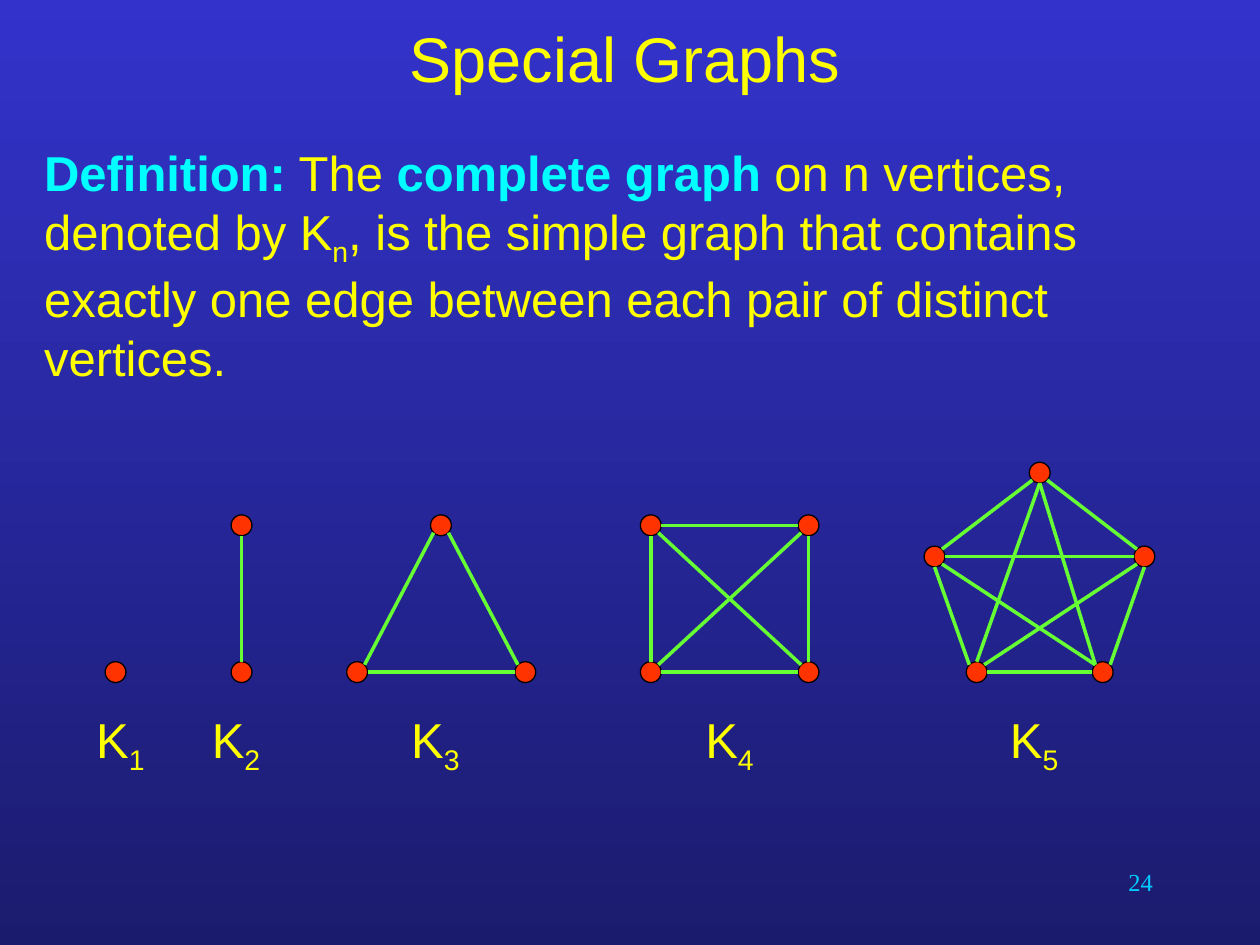
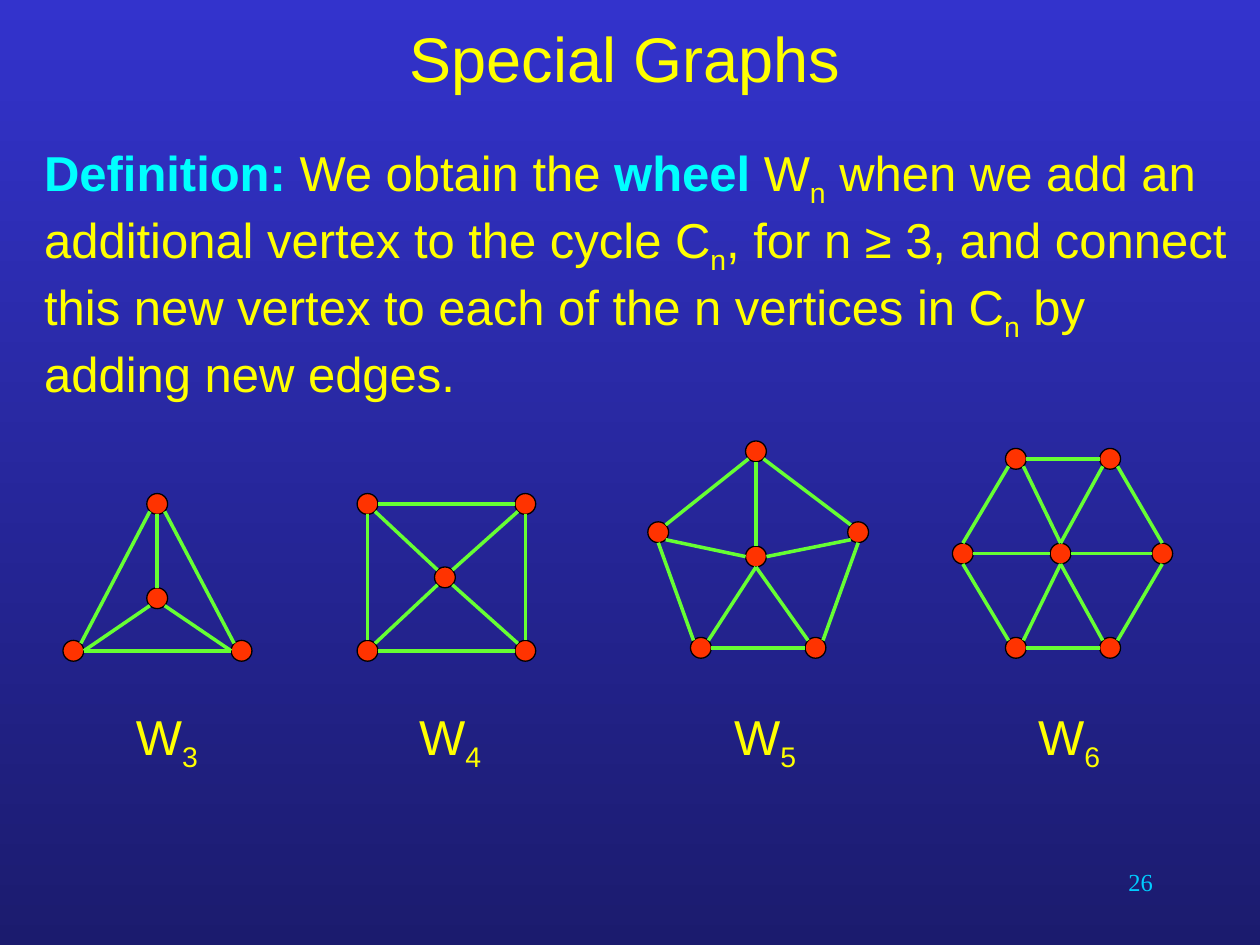
from lxml.etree import SubElement
from pptx import Presentation
from pptx.dml.color import RGBColor
from pptx.enum.shapes import MSO_CONNECTOR, MSO_SHAPE
from pptx.enum.text import MSO_ANCHOR as ANCHOR, PP_ALIGN as ALIGN
from pptx.oxml.ns import qn
from pptx.util import Cm, Pt

COLORS = {
    "top": "3333CC", "bottom": "1B1B6E", "text": "FFFF00", "key": "00FFFF",
    "number": "00CCFF", "vertex": "FF3300", "outline": "000000", "edge": "66FF33",
}
TITLE = "Special Graphs"
RADIUS = 0.21
DIAGONAL = 0.15  # offset of the slanted sites on a vertex circle
COMPASS = {
    "N": (0, -RADIUS), "S": (0, RADIUS), "W": (-RADIUS, 0), "E": (RADIUS, 0),
    "NW": (-DIAGONAL, -DIAGONAL), "NE": (DIAGONAL, -DIAGONAL),
    "SW": (-DIAGONAL, DIAGONAL), "SE": (DIAGONAL, DIAGONAL),
}

# Vertices are relative to the lower left one, in cm. An edge such as "0NE 2SW"
# runs from the north-east of vertex 0 to the south-west of vertex 2.
TRIANGLE = [(0, 0), (3.39, 0), (1.69, -2.96)]
SQUARE = [(0, 0), (3.18, 0), (0, -2.96), (3.18, -2.96)]
PENTAGON = [(0, 0), (2.54, 0), (-0.85, -2.33), (3.38, -2.33), (1.27, -4.02)]
WHEEL_PENTAGON = [(0, 0), (2.31, 0), (-0.86, -2.33), (3.17, -2.33), (1.11, -3.96)]
HEXAGON = [(0, 0), (1.9, 0), (-1.07, -1.9), (2.95, -1.9), (0, -3.81), (1.9, -3.81)]
TRIANGLE_RIM = ["0NE 2SW", "0E 1W", "1NW 2SE"]
SQUARE_RIM = ["0N 2S", "2E 3W", "3S 1N", "0E 1W"]
PENTAGON_RIM = ["2S 0NW", "0E 1W", "1NE 3S", "3NW 4SE", "2NE 4SW"]
HEXAGON_RIM = ["2S 0NW", "0E 1W", "1NE 3S", "3N 5SE", "2N 4SW", "4E 5W"]

# Each graph: index, label left, (x, y) of vertex 0, vertices, edges
COMPLETE = [
    ("1", 1.69, (2.33, 13.55), [(0, 0)], []),
    ("2", 4.02, (4.87, 13.55), [(0, 0), (0, -2.96)], ["0N 1S"]),
    ("3", 8.04, (7.2, 13.55), TRIANGLE, TRIANGLE_RIM),
    ("4", 13.97, (13.12, 13.55), SQUARE, SQUARE_RIM + ["0NE 3SW", "2SE 1NW"]),
    ("5", 20.11, (19.69, 13.55), PENTAGON,
     PENTAGON_RIM + ["4S 0N", "4S 1NW", "2E 3W", "2SE 1NW", "0NE 3SW"]),
]
WHEELS = [
    ("3", 2.49, (1.48, 13.12), TRIANGLE + [(1.69, -1.06)],
     TRIANGLE_RIM + ["0E 3SW", "1W 3SE", "3N 2S"]),
    ("4", 8.2, (7.41, 13.12), SQUARE + [(1.56, -1.48)],
     SQUARE_RIM + ["0NE 4SW", "4NW 2SE", "4NE 3SW", "4SE 1NW"]),
    ("5", 14.55, (14.13, 13.06), WHEEL_PENTAGON + [(1.11, -1.84)],
     PENTAGON_RIM + ["0NE 5S", "1NW 5S", "2SE 5W", "5E 3SW", "5N 4S"]),
    ("6", 20.68, (20.48, 13.06), HEXAGON + [(0.9, -1.9)],
     HEXAGON_RIM + ["0NE 6S", "1NW 6S", "2E 6W", "6E 3W", "6N 4SE", "6N 5SW"]),
]
PAGES = [
    {"number": "24", "letter": "K", "label_top": 14.18, "label_width": 1.69,
     "graphs": COMPLETE,
     "definition": [
         ("Definition:", "key"), (" The ", ""), ("complete graph", "key"),
         (" on n vertices, denoted by K", ""), ("n", "sub"),
         (", is the simple graph that contains exactly one edge between "
          "each pair of distinct vertices.", "")]},
    {"number": "26", "letter": "W", "label_top": 14.12, "label_width": 2.3,
     "graphs": WHEELS,
     "definition": [
         ("Definition:", "key"), (" We obtain the ", ""), ("wheel", "key"),
         (" W", ""), ("n", "sub"),
         (" when we add an additional vertex to the cycle C", ""), ("n", "sub"),
         (", for n ≥ 3, and connect this new vertex to each of the n vertices in C", ""),
         ("n", "sub"), (" by adding new edges.", "")]},
]


def color(name):
    """Return a palette colour."""
    return RGBColor.from_string(COLORS[name])


def add_text(page, area, spans, size=28, font="Arial", tint="text",
             align=ALIGN.LEFT, anchor=ANCHOR.TOP):
    """Add a text box with one paragraph of (text, style) spans."""
    box = page.shapes.add_textbox(*map(Cm, area))
    frame = box.text_frame
    frame.word_wrap = True
    frame.vertical_anchor = anchor
    para = frame.paragraphs[0]
    para.alignment = align
    for text, style in spans:
        span = para.add_run()
        span.text = text
        span.font.size = Pt(size)
        span.font.name = font
        span.font.bold = style == "key"
        span.font.color.rgb = color("key" if style == "key" else tint)
        if style == "sub":
            span.font._element.set("baseline", "-25000")


def add_vertex(shapes, x, y):
    """Draw a vertex circle centred on x, y."""
    vertex = shapes.add_shape(MSO_SHAPE.FLOWCHART_CONNECTOR, Cm(x - RADIUS),
                              Cm(y - RADIUS), Cm(2 * RADIUS), Cm(2 * RADIUS))
    vertex.shadow.inherit = False
    vertex.fill.solid()
    vertex.fill.fore_color.rgb = color("vertex")
    vertex.line.color.rgb = color("outline")
    vertex.line.width = Pt(0.75)


def site(centers, end):
    """Return the point on a vertex circle named by an end such as 0NE."""
    x, y = centers[int(end[0])]
    dx, dy = COMPASS[end[1:]]
    return Cm(x + dx), Cm(y + dy)


def add_edge(shapes, start, finish):
    """Draw an edge between two points."""
    edge = shapes.add_connector(MSO_CONNECTOR.STRAIGHT, *start, *finish)
    edge.line.color.rgb = color("edge")
    edge.line.width = Pt(2)
    SubElement(edge._element.spPr, qn("a:effectLst"))


def add_graph(page, origin, vertices, edges):
    """Draw a graph, grouped when it has edges."""
    shapes = page.shapes.add_group_shape().shapes if edges else page.shapes
    centers = [(origin[0] + x, origin[1] + y) for x, y in vertices]
    for center in centers:
        add_vertex(shapes, *center)
    for edge in edges:
        add_edge(shapes, *(site(centers, end) for end in edge.split()))


def add_page(deck, content):
    """Add a slide with background, title, number, definition and graphs."""
    page = deck.slides.add_slide(deck.slide_layouts[6])
    fill = page.background.fill
    fill.gradient()
    fill.gradient_angle = 270
    for stop, name in zip(fill.gradient_stops, ("top", "bottom")):
        stop.color.rgb = color(name)
    add_text(page, (18.2, 17.36, 5.29, 1.27), [(content["number"], "")], 14,
             "Times New Roman", "number", ALIGN.RIGHT)
    add_text(page, (0.64, 0, 23.92, 2.33), [(TITLE, "")], 36,
             align=ALIGN.CENTER, anchor=ANCHOR.MIDDLE)
    add_text(page, (0.64, 2.75, 24.34, 5.29), content["definition"])
    for index, left, origin, vertices, edges in content["graphs"]:
        add_graph(page, origin, vertices, edges)
        add_text(page, (left, content["label_top"], content["label_width"], 1.45),
                 [(content["letter"], ""), (index, "sub")])


deck = Presentation()
deck.slide_width, deck.slide_height = Cm(25.4), Cm(19.05)
for content in PAGES:
    add_page(deck, content)
deck.save("out.pptx")
